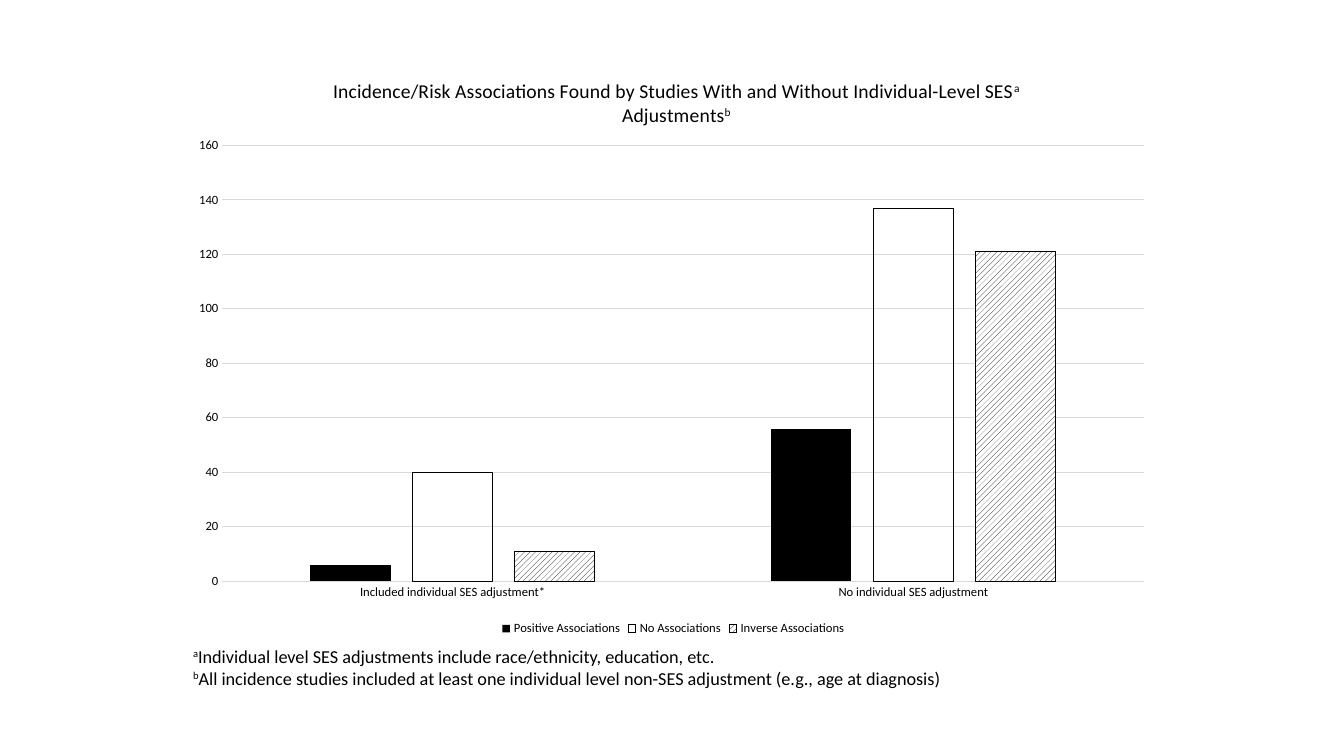
"""Builds a slide comparing study associations by individual-level SES adjustment."""
from dataclasses import dataclass

from pptx import Presentation
from pptx.chart.data import CategoryChartData
from pptx.dml.color import RGBColor
from pptx.enum import chart as charts, dml, text
from pptx.oxml import ns, xmlchemy
from pptx import util as u


@dataclass(frozen=True)
class Theme:
    """Colours, type and line sizes of the slide."""
    font: str = "Calibri"
    ink: RGBColor = RGBColor(0, 0, 0)
    paper: RGBColor = RGBColor(255, 255, 255)
    rule: RGBColor = RGBColor(0xD9, 0xD9, 0xD9)
    title: float = 14
    note: float = 13
    body: float = 10
    label: float = 9
    hairline: float = 0.75


THEME = Theme()
WIDTH, HEIGHT = u.Inches(13.33), u.Inches(7.5)
COLUMNS, ROWS = 16, 9

CATEGORIES = ["Included individual SES adjustment*", "No individual SES adjustment"]
ASSOCIATIONS = {
    "Positive Associations": ((6, 56), "solid"),
    "No Associations": ((40, 137), "hollow"),
    "Inverse Associations": ((11, 121), "hatched"),
}
HEADING = [
    ("Incidence/Risk Associations Found by Studies With and Without Individual-Level SES", False),
    ("a", True), (" Adjustments", False), ("b", True),
]
FOOTNOTES = [
    [("a", True),
     ("Individual level SES adjustments include race/ethnicity, education, etc.", False)],
    [("b", True),
     ("All incidence studies included at least one individual level non-SES adjustment "
      "(e.g., age at diagnosis)", False)],
]


def cells(left, top, width, height):
    """Turn grid columns and rows into slide lengths."""
    column, row = WIDTH / COLUMNS, HEIGHT / ROWS
    return [u.Emu(round(n)) for n in (left * column, top * row, width * column, height * row)]


def assign(target, values):
    """Set each named attribute on the target."""
    for name, value in values.items():
        setattr(target, name, value)


def style_font(font, size):
    """Apply the theme's type at a given size."""
    assign(font, {"name": THEME.font, "size": u.Pt(size), "bold": False})
    font.color.rgb = THEME.ink


def style_line(line, color):
    """Draw a thin line in a given colour."""
    line.color.rgb = color
    line.width = u.Pt(THEME.hairline)


def write_runs(paragraph, pieces, size):
    """Write text pieces, raising those marked as superscript."""
    for wording, raised in pieces:
        run = paragraph.add_run()
        run.text = wording
        style_font(run.font, size)
        if raised:
            run._r.get_or_add_rPr().set("baseline", "30000")


def place(part, **shares):
    """Fix a chart part's place as shares of the chart's size."""
    layout = part.find(ns.qn("c:layout"))
    if layout is None:
        layout = xmlchemy.OxmlElement("c:layout")
        part.insert(0, layout)
    manual = xmlchemy.OxmlElement("c:manualLayout")
    layout.append(manual)
    modes = {"xMode": "edge", "yMode": "edge"}
    if "w" in shares:
        modes = {"layoutTarget": "inner", **modes}
    for tag, value in {**modes, **shares}.items():
        entry = xmlchemy.OxmlElement(f"c:{tag}")
        entry.set("val", str(value))
        manual.append(entry)


def style_bars(bars, look):
    """Give one series its solid, hollow or hatched look."""
    bars.invert_if_negative = False
    fill = bars.format.fill
    if look == "solid":
        fill.solid()
        fill.fore_color.rgb = THEME.ink
        bars.format.line.fill.background()
        return
    if look == "hatched":
        fill.patterned()
        fill.pattern = dml.MSO_PATTERN.WIDE_UPWARD_DIAGONAL
        fill.fore_color.rgb = THEME.ink
        fill.back_color.rgb = THEME.paper
    else:
        fill.background()
    style_line(bars.format.line, THEME.ink)


def style_axes(chart):
    """Style the category and value axes."""
    for axis in (chart.category_axis, chart.value_axis):
        assign(axis, {"major_tick_mark": charts.XL_TICK_MARK.NONE,
                      "minor_tick_mark": charts.XL_TICK_MARK.NONE})
        style_font(axis.tick_labels.font, THEME.label)
    style_line(chart.category_axis.format.line, THEME.rule)
    counts = chart.value_axis
    assign(counts, {"minimum_scale": 0, "maximum_scale": 160, "major_unit": 20,
                    "has_major_gridlines": True})
    counts.format.line.fill.background()
    style_line(counts.major_gridlines.format.line, THEME.rule)


def add_association_chart(slide, area):
    """Add the clustered columns with heading and legend."""
    data = CategoryChartData()
    data.categories = CATEGORIES
    for name, (values, _) in ASSOCIATIONS.items():
        data.add_series(name, values)
    chart = slide.shapes.add_chart(
        charts.XL_CHART_TYPE.COLUMN_CLUSTERED, *area, data).chart
    style_font(chart.font, THEME.body)
    assign(chart, {"has_title": True, "has_legend": True})
    heading = chart.chart_title
    write_runs(heading.text_frame.paragraphs[0], HEADING, THEME.title)
    place(heading._element, x=0.15, y=0.04)
    assign(chart.legend, {"position": charts.XL_LEGEND_POSITION.BOTTOM,
                          "include_in_layout": False})
    style_font(chart.legend.font, THEME.label)
    columns = chart.plots[0]
    assign(columns, {"gap_width": 219, "overlap": -27, "vary_by_categories": False})
    for bars in columns.series:
        style_bars(bars, ASSOCIATIONS[bars.name][1])
    style_axes(chart)
    place(chart._chartSpace.chart.plotArea, x=0.04, y=0.16, w=0.94, h=0.74)


def add_footnotes(slide, area):
    """Add the explanatory notes, one paragraph each."""
    notes = slide.shapes.add_textbox(*area).text_frame
    assign(notes, {"word_wrap": True, "auto_size": text.MSO_AUTO_SIZE.SHAPE_TO_FIT_TEXT})
    for index, pieces in enumerate(FOOTNOTES):
        paragraph = notes.add_paragraph() if index else notes.paragraphs[0]
        write_runs(paragraph, pieces, THEME.note)


def main():
    """Build and save the presentation."""
    deck = Presentation()
    assign(deck, {"slide_width": WIDTH, "slide_height": HEIGHT})
    slide = deck.slides.add_slide(deck.slide_layouts[6])
    add_association_chart(slide, cells(2.18, 0.61, 11.67, 7.01))
    add_footnotes(slide, cells(2.18, 7.62, 10.51, 0.65))
    deck.save("out.pptx")


if __name__ == "__main__":
    main()
